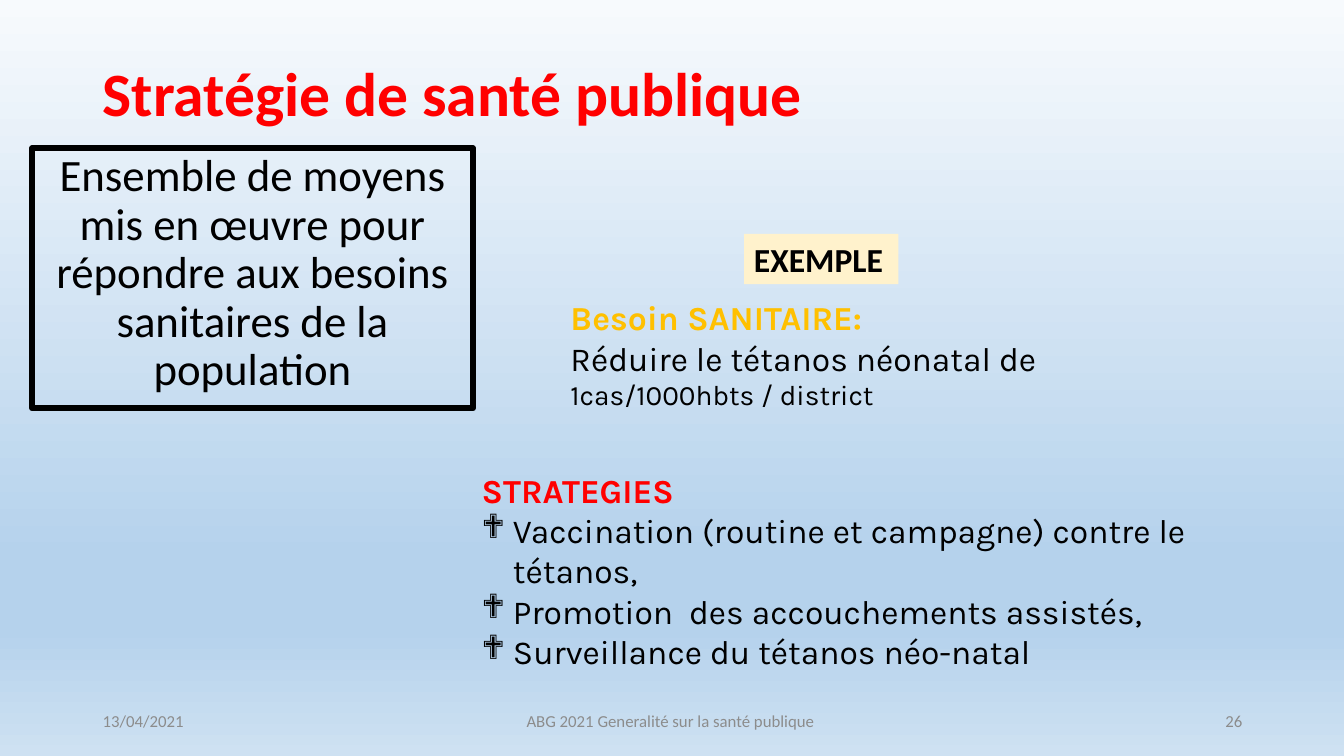
"""Build the slide on public health strategy."""
from copy import deepcopy
from lxml import etree
from pptx import Presentation
from pptx.dml.color import RGBColor
from pptx.enum.shapes import MSO_SHAPE
from pptx.enum.text import MSO_ANCHOR, MSO_AUTO_SIZE, PP_ALIGN
from pptx.oxml.ns import qn
from pptx.util import Inches, Pt

LEFT, MID, RIGHT = PP_ALIGN.LEFT, PP_ALIGN.CENTER, PP_ALIGN.RIGHT
TOP, CORE = MSO_ANCHOR.TOP, MSO_ANCHOR.MIDDLE
NONE, GROW = MSO_AUTO_SIZE.NONE, MSO_AUTO_SIZE.SHAPE_TO_FIT_TEXT
RECT = MSO_SHAPE.RECTANGLE

BLACK, RED, GOLD, GRAY, CREAM = "000000", "FF0000", "FFC000", "8C8C8C", "FFF2CC"
STOPS = [(0, "F7FAFD"), (0.74, "B5D2EC"), (0.83, "B5D2EC"), (1, "CEE1F2")]
HANG = 0.31

TITLE = ("Stratégie de santé publique", "Calibri", 44, RED, True)
MEANS = ("Ensemble de moyens mis en œuvre pour répondre aux besoins sanitaires "
         "de la population", "Calibri", 32, BLACK, False)
LABEL = ("EXEMPLE", "Calibri", 24, BLACK, True)
NEED = [
    [("Besoin SANITAIRE:", "Karla", 24, GOLD, True)],
    [("Réduire le tétanos néonatal de ", "Karla", 24, BLACK, False),
     ("1cas/1000hbts / district", "Karla", 20, BLACK, False)],
]
HEAD = ("STRATEGIES", "Karla", 24, RED, True)
PLANS = [
    "Vaccination (routine et campagne) contre le tétanos,",
    "Promotion  des accouchements assistés,",
    "Surveillance du tétanos néo-natal",
]
FOOT = [
    ("13/04/2021", 0.92, 3, LEFT),
    ("ABG 2021 Generalité sur la santé publique ", 4.42, 4.5, MID),
    ("26", 9.42, 3, RIGHT),
]


def color(code):
    """Turn a hex string into a colour."""
    return RGBColor.from_string(code)


def paint(slide):
    """Fill the background with the gradient."""
    fill = slide.background.fill
    fill.gradient()
    fill.gradient_angle = 270
    stops = next(slide.element.iter(qn("a:gsLst")))
    while len(stops) < len(STOPS):
        stops.append(deepcopy(stops[0]))
    for stop, (place, code) in zip(fill.gradient_stops, STOPS):
        stop.position = place
        stop.color.rgb = color(code)


def write(shape, paras, fit=NONE, anchor=TOP, marks=(), **form):
    """Write paragraphs of runs into a shape."""
    frame = shape.text_frame
    frame.word_wrap = True
    frame.auto_size = fit
    frame.vertical_anchor = anchor
    for i, runs in enumerate(paras):
        para = frame.paragraphs[0] if i == 0 else frame.add_paragraph()
        for name, value in {"alignment": LEFT, **form}.items():
            setattr(para, name, value)
        if i in marks:
            props = para._p.get_or_add_pPr()
            props.set("marL", str(Inches(HANG)))
            props.set("indent", str(-Inches(HANG)))
            etree.SubElement(props, qn("a:buFont")).set("typeface", "Wingdings")
            etree.SubElement(props, qn("a:buChar")).set("char", "❖")
        for text, face, size, code, bold in runs:
            run = para.add_run()
            run.text = text
            for name, value in {"name": face, "size": Pt(size), "bold": bold}.items():
                setattr(run.font, name, value)
            run.font.color.rgb = color(code)


def panel(slide, box, fill=None, line=None):
    """Add a rectangle with an optional fill and outline."""
    shape = slide.shapes.add_shape(RECT, *map(Inches, box))
    shape.shadow.inherit = False
    if fill:
        shape.fill.solid()
        shape.fill.fore_color.rgb = color(fill)
    else:
        shape.fill.background()
    if line:
        shape.line.color.rgb = color(line)
        shape.line.width = Pt(4.5)
    else:
        shape.line.fill.background()
    return shape


def main():
    """Make the slide and save it."""
    deck = Presentation()
    deck.slide_width, deck.slide_height = Inches(13.33), Inches(7.5)
    slide = deck.slides.add_slide(deck.slide_layouts[6])
    paint(slide)

    def field(*box):
        return slide.shapes.add_textbox(*map(Inches, box))

    write(field(0.92, 0.49, 8.5, 0.94), [[TITLE]], anchor=CORE, line_spacing=0.9)
    write(panel(slide, (0.32, 1.47, 4.37, 2.58), line=BLACK), [[MEANS]],
          alignment=MID, line_spacing=0.9)
    for text, left, width, side in FOOT:
        write(field(left, 6.95, width, 0.4), [[(text, "Calibri", 12, GRAY, False)]],
              anchor=CORE, alignment=side)
    write(field(5.56, 2.9, 6.85, 1.55), NEED, GROW)
    plans = [[(text, "Karla", 24, BLACK, False)] for text in PLANS]
    write(field(4.68, 4.61, 8.47, 2.02), [[HEAD], *plans], GROW,
          marks=range(1, len(plans) + 1))
    write(panel(slide, (7.38, 2.32, 1.53, 0.5), fill=CREAM), [[LABEL]], GROW)
    deck.save("out.pptx")


if __name__ == "__main__":
    main()
